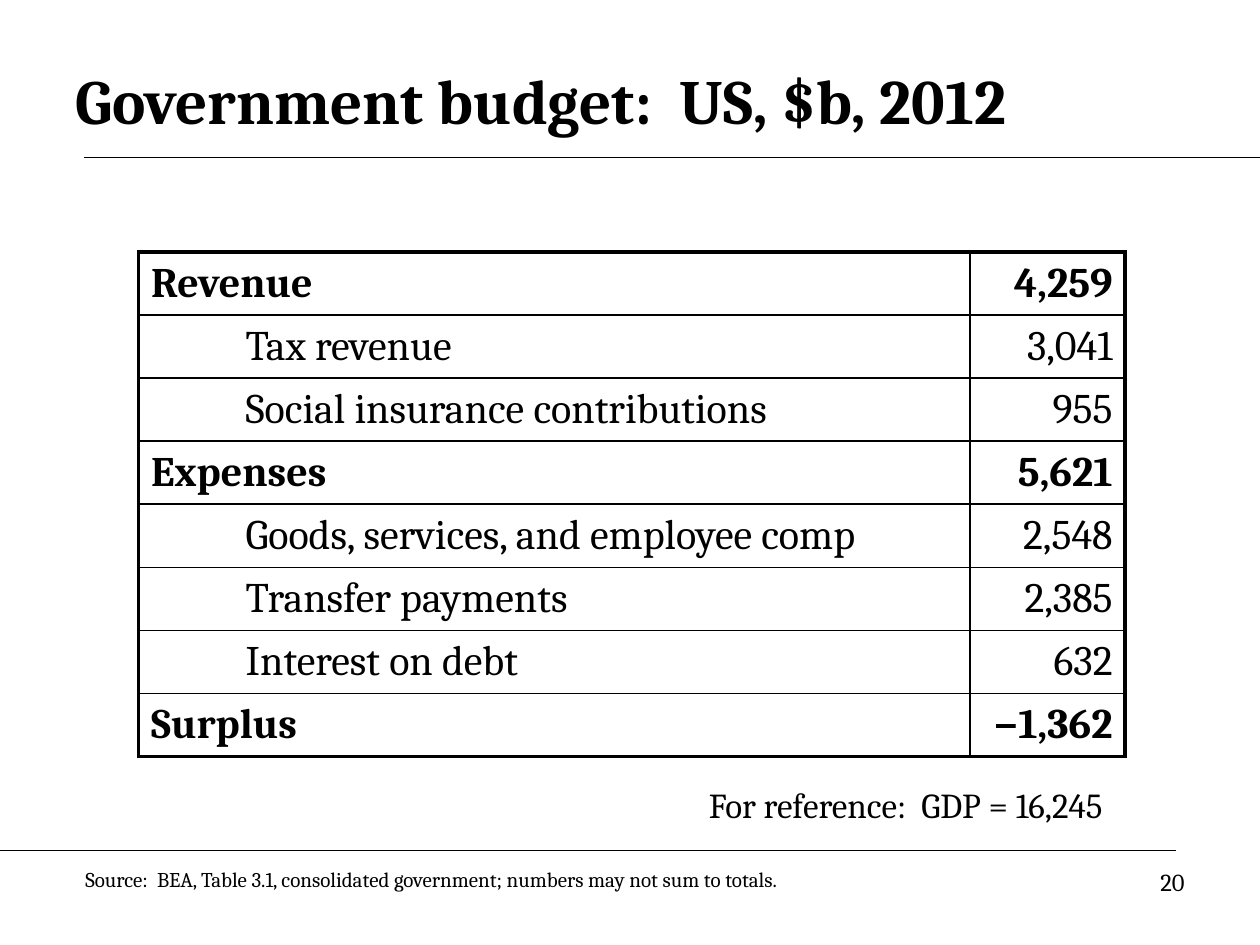
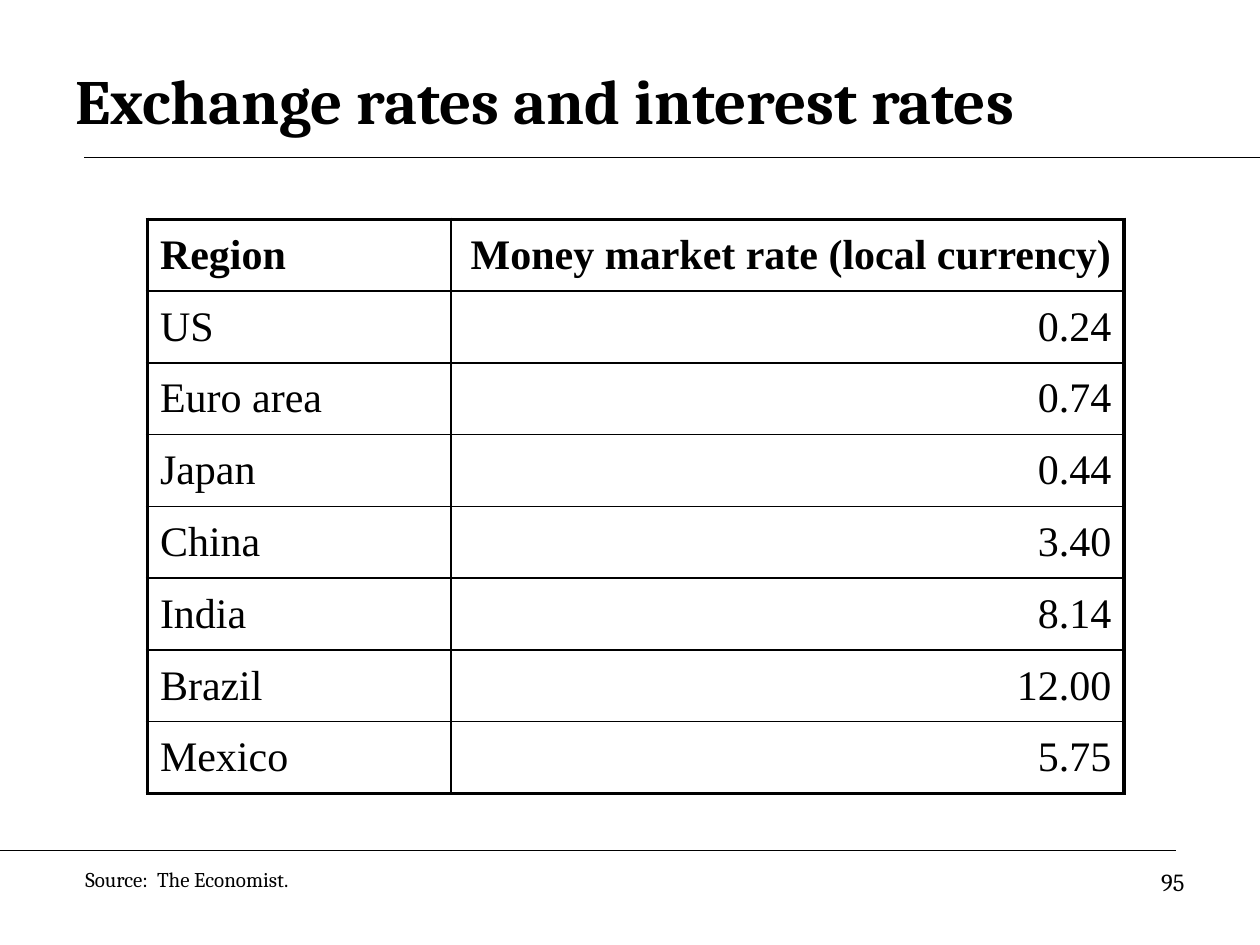
from dataclasses import dataclass

from lxml import etree
from pptx import Presentation
from pptx.dml.color import RGBColor
from pptx.enum import shapes, text
from pptx.oxml import ns
from pptx.util import Inches, Pt


@dataclass(frozen=True)
class Theme:
    ink: str = "000000"
    paper: str = "FFFFFF"
    serif: str = "Cambria"
    table_serif: str = "Times New Roman"
    title: float = 36
    table: float = 24
    remark: float = 20
    number: float = 14
    source: float = 12
    rule: float = 0.75
    grid: float = 1
    frame: float = 2.25


THEME = Theme()
INK = RGBColor.from_string(THEME.ink)
LEFT, RIGHT = text.PP_ALIGN.LEFT, text.PP_ALIGN.RIGHT

# Boxes: left, top, width, height in inches
TITLE_BOX = (0.5, 0.33, 9, 0.92)
NUMBER_BOX = (7.17, 6.83, 2.33, 0.52)
SOURCE_BOX = (0.58, 6.83, 6.83, 0.3)
REMARK_BOX = (5.24, 6.17, 3.61, 0.44)
RULES = [((0.67, 1.25), (10, 1.25)), ((0, 6.75), (9.33, 6.75))]

# None joins a cell to the one on its left; "" is an indent
BUDGET = [
    ("Revenue", None, "4,259"),
    ("", "Tax revenue", "3,041"),
    ("", "Social insurance contributions", "955"),
    ("Expenses", None, "5,621"),
    ("", "Goods, services, and employee comp", "2,548"),
    ("", "Transfer payments", "2,385"),
    ("", "Interest on debt", "632"),
    ("Surplus", None, "−1,362"),
]
RATES = [
    ("Region", "Money market rate (local currency)"),
    ("US", "0.24"),
    ("Euro area", "0.74"),
    ("Japan", "0.44"),
    ("China", "3.40"),
    ("India", "8.14"),
    ("Brazil", "12.00"),
    ("Mexico", "5.75"),
]


def write(frame, words, size, align=LEFT, bold=False, face=THEME.serif):
    para = frame.paragraphs[0]
    para.text = words
    para.alignment = align
    font = para.font
    font.name, font.size, font.bold = face, Pt(size), bold
    font.color.rgb = INK


def add_text(page, box, words, size, align=LEFT):
    frame = page.shapes.add_textbox(*map(Inches, box)).text_frame
    frame.word_wrap = True
    write(frame, words, size, align)


def add_rule(page, start, end):
    line = page.shapes.add_connector(
        shapes.MSO_CONNECTOR.STRAIGHT, *map(Inches, start + end))
    line.line.color.rgb = INK
    line.line.width = Pt(THEME.rule)
    etree.SubElement(line._element.spPr, ns.qn("a:effectLst"))


def set_borders(cell, widths):
    """Widths in points for left, right, top and bottom; 0 hides an edge."""
    properties = cell._tc.get_or_add_tcPr()
    for place, (side, width) in enumerate(zip("LRTB", widths)):
        edge = etree.Element(ns.qn(f"a:ln{side}"), w=str(Pt(width)))
        if width:
            fill = etree.SubElement(edge, ns.qn("a:solidFill"))
            etree.SubElement(fill, ns.qn("a:srgbClr"), val=THEME.ink)
        else:
            etree.SubElement(edge, ns.qn("a:noFill"))
        properties.insert(place, edge)


def add_framed_table(page, corner, widths, row_height, rows, bold_rows, face):
    """Thin grid inside a heavy frame, with the last column set right."""
    size = (sum(widths), row_height * len(rows))
    table = page.shapes.add_table(
        len(rows), len(widths), *map(Inches, corner + size)).table
    table.first_row = table.horz_banding = False
    for column, width in zip(table.columns, widths):
        column.width = Inches(width)

    last_row, last_column = len(rows) - 1, len(widths) - 1
    for r, row in enumerate(rows):
        table.rows[r].height = Inches(row_height)
        # Open edges lie after an indent and inside joined cells
        edges = [THEME.frame]
        for before, after in zip(row, row[1:]):
            edges.append(0 if before == "" or after is None else THEME.grid)
        edges.append(THEME.frame)
        top = THEME.grid if r else THEME.frame
        bottom = THEME.frame if r == last_row else THEME.grid

        for c, words in enumerate(row):
            cell = table.cell(r, c)
            cell.fill.background()
            cell.vertical_anchor = text.MSO_ANCHOR.MIDDLE
            joined = c < last_column and row[c + 1] is None
            right = edges[c + 2] if joined else edges[c + 1]
            set_borders(cell, (edges[c], right, top, bottom))
            if words is None:
                table.cell(r, c - 1).merge(cell)
            else:
                write(cell.text_frame, words, THEME.table,
                      RIGHT if c == last_column else LEFT,
                      r in bold_rows, face)


def add_page(deck, title, number, source):
    page = deck.slides.add_slide(deck.slide_layouts[5])
    page.background.fill.solid()
    page.background.fill.fore_color.rgb = RGBColor.from_string(THEME.paper)

    # Rules above and below the content
    for start, end in RULES:
        add_rule(page, start, end)

    # Title
    heading = page.shapes.title
    heading.left, heading.top, heading.width, heading.height = map(
        Inches, TITLE_BOX)
    heading.text_frame.vertical_anchor = text.MSO_ANCHOR.MIDDLE
    write(heading.text_frame, title, THEME.title, bold=True)

    # Footer
    add_text(page, NUMBER_BOX, number, THEME.number, RIGHT)
    add_text(page, SOURCE_BOX, source, THEME.source)
    return page


def budget_page(deck):
    page = add_page(
        deck, "Government budget:  US, $b, 2012", "20",
        "Source:  BEA, Table 3.1, consolidated government; "
        "numbers may not sum to totals.")
    totals = [r for r, row in enumerate(BUDGET) if row[0]]
    add_framed_table(page, (1.1, 2), (0.75, 5.85, 1.23), 0.49,
                     BUDGET, totals, THEME.serif)
    add_text(page, REMARK_BOX, "For reference:  GDP = 16,245",
             THEME.remark, RIGHT)


def rates_page(deck):
    page = add_page(deck, "Exchange rates and interest rates", "95",
                    "Source:  The Economist.")
    add_framed_table(page, (1.17, 1.74), (2.41, 5.34), 0.57,
                     RATES, [0], THEME.table_serif)


def main():
    deck = Presentation()
    deck.slide_width, deck.slide_height = Inches(10), Inches(7.5)
    budget_page(deck)
    rates_page(deck)
    deck.save("out.pptx")


if __name__ == "__main__":
    main()
